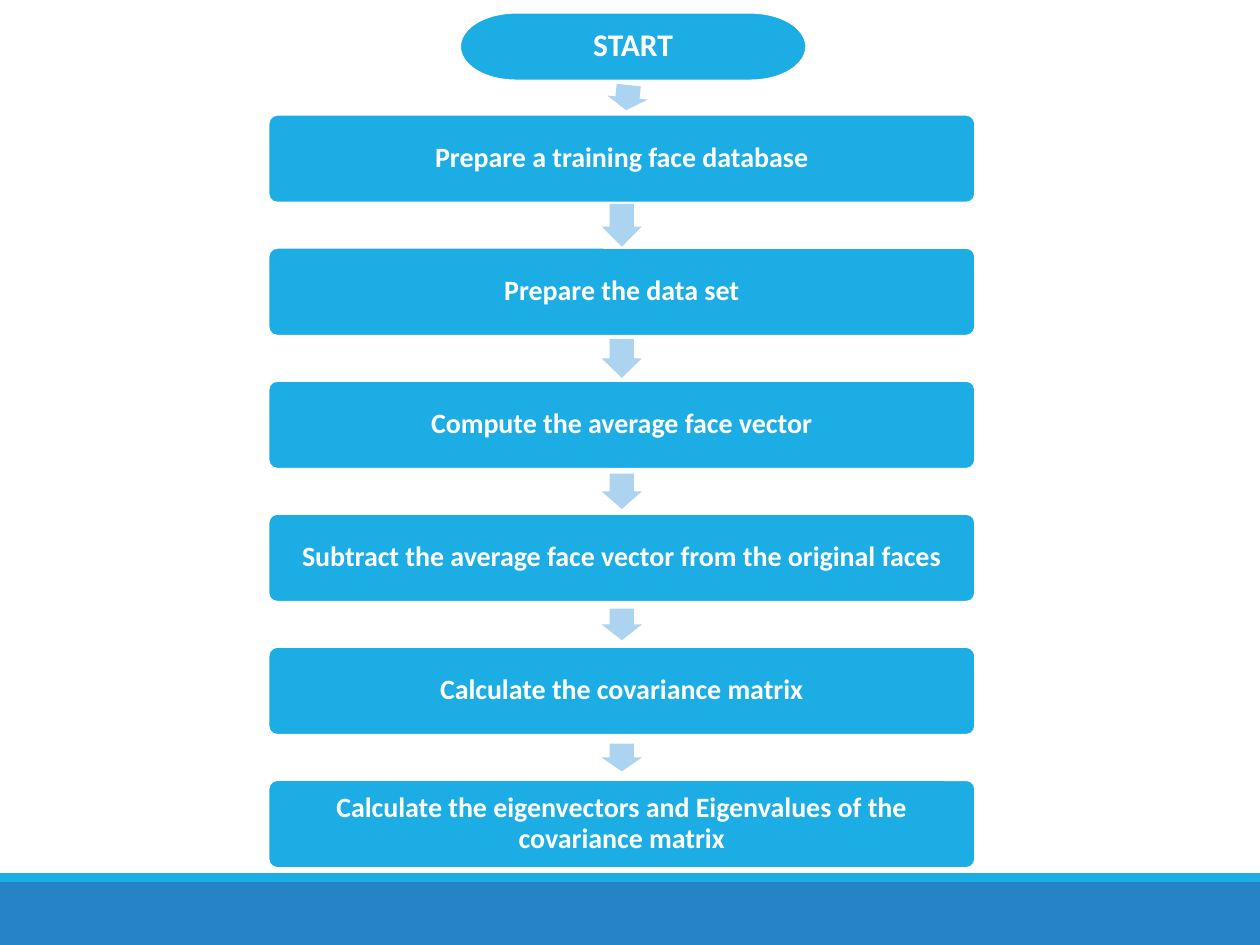
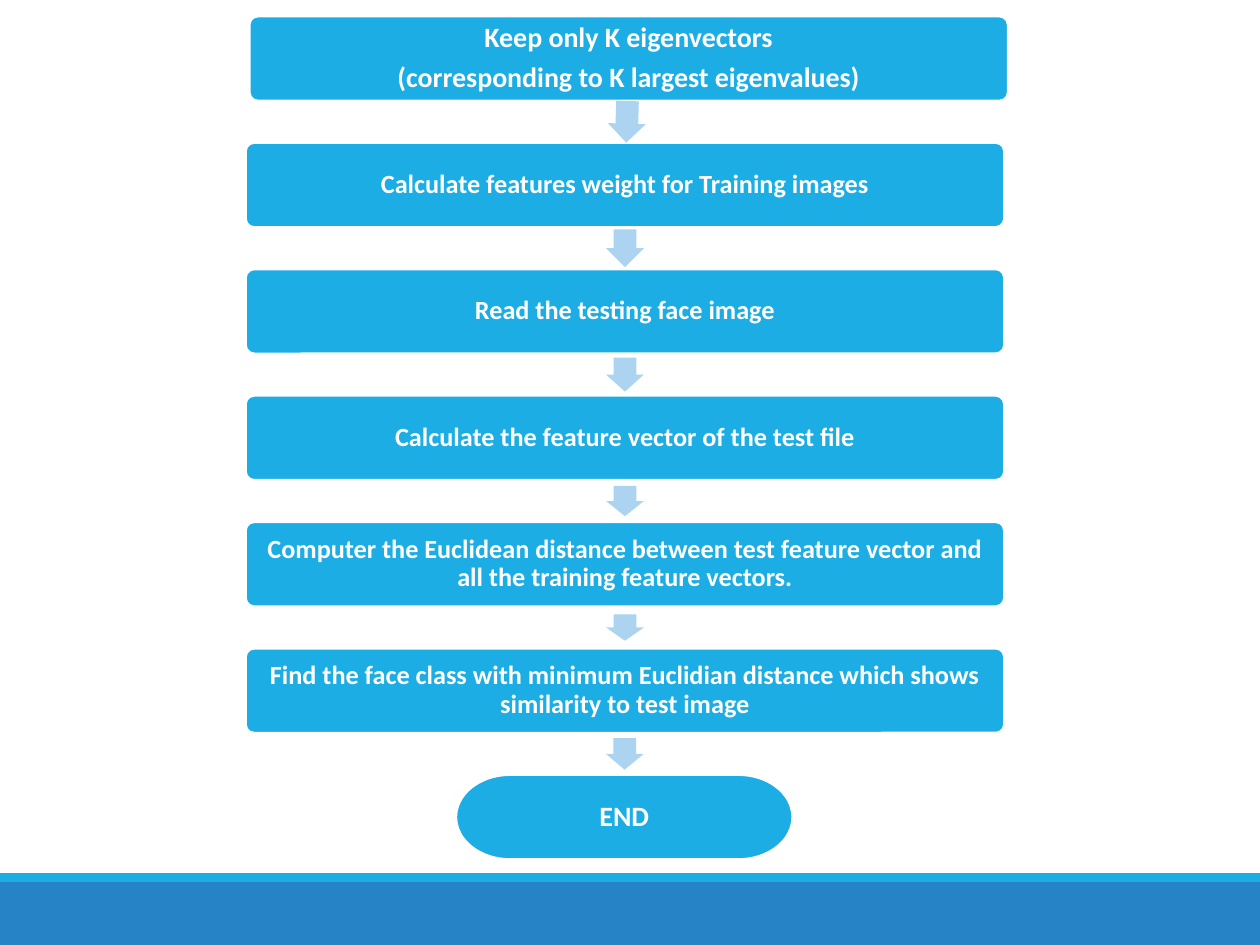
import math
from pptx import Presentation
from pptx import util as u
from pptx.dml.color import RGBColor
from pptx.enum import shapes, text

COLORS = {"band": "2683C6", "box": "1CADE4", "arrow": "ACD3EF", "white": "FFFFFF"}
FONT = "Calibri"
TERMINATOR = shapes.MSO_SHAPE.FLOWCHART_TERMINATOR
STEP = shapes.MSO_SHAPE.ROUNDED_RECTANGLE


def add_filled(page, kind, left, top, width, height, color):
    shape = page.shapes.add_shape(kind, *map(u.Inches, (left, top, width, height)))
    shape.shadow.inherit = False
    shape.fill.solid()
    shape.fill.fore_color.rgb = RGBColor.from_string(COLORS[color])
    shape.line.fill.background()
    return shape


def add_box(page, kind, left, top, width, height, size, label):
    box = add_filled(page, kind, left, top, width, height, "box")
    box.line.color.rgb = RGBColor.from_string(COLORS["white"])
    box.line.width = u.Pt(1.25)
    if kind == STEP:
        box.adjustments[0] = 0.1
    frame = box.text_frame
    frame.word_wrap = True
    frame.vertical_anchor = text.MSO_ANCHOR.MIDDLE
    margin = u.Inches(0.07 if size > 15 else 0.06)
    frame.margin_left = frame.margin_right = margin
    frame.margin_top = frame.margin_bottom = margin
    frame.text = label
    for para in frame.paragraphs:
        para.alignment = text.PP_ALIGN.CENTER
        para.line_spacing = 0.9
        para.font.name = FONT
        para.font.size = u.Pt(size)
        para.font.bold = True
        para.font.color.rgb = RGBColor.from_string(COLORS["white"])
    for para in frame.paragraphs[:-1]:
        para.space_after = u.Pt(0.35 * size)


deck = Presentation()
deck.slide_width, deck.slide_height = u.Inches(10), u.Inches(7.5)
blank = deck.slide_layouts[6]
pages = [deck.slides.add_slide(blank) for _ in range(2)]

# Footer bands, drawn once and moved to the slide master
bands = [(7, 0.5, "band"), (6.93, 0.07, "box")]
for number, (top, height, color) in enumerate(bands):
    band = add_filled(pages[0], shapes.MSO_SHAPE.RECTANGLE, 0, top, 10, height, color)
    band.element.nvSpPr.cNvPr.set("id", str(100 + number))
    deck.slide_master.shapes.element.insert(2 + number, band.element)

# Training: START, then evenly spaced steps
training_steps = [
    "Prepare a training face database",
    "Prepare the data set",
    "Compute the average face vector",
    "Subtract the average face vector from the original faces",
    "Calculate the covariance matrix",
    "Calculate the eigenvectors and Eigenvalues of the covariance matrix",
]
pitch = (6.19 - 0.91) / 5
training = [(TERMINATOR, 3.65, 0.1, 2.75, 0.54, 18, "START")]
for index, label in enumerate(training_steps):
    training.append((STEP, 2.13, 0.91 + index * pitch, 5.61, 0.7, 16, label))

# Testing: the first step sits slightly to the right, END closes the flow
testing_steps = [
    "Calculate features weight for Training images",
    "Read the testing face image",
    "Calculate the feature vector of the test file",
    "Computer the Euclidean distance between test feature vector and "
    "all the training feature vectors.",
    "Find the face class with minimum Euclidian distance which shows "
    "similarity to test image",
]
pitch = (6.15 - 0.13) / 6
testing = [(STEP, 1.98, 0.13, 6.02, 0.67, 16,
            "Keep only K eigenvectors\n(corresponding to K largest eigenvalues)")]
for index, label in enumerate(testing_steps, start=1):
    testing.append((STEP, 1.95, 0.13 + index * pitch, 6.02, 0.67, 15, label))
testing.append((TERMINATOR, 3.62, 6.15, 2.67, 0.67, 16, "END"))

# Arrow lengths and thickness for each flow
flows = [
    (training, [0.2, 0.34, 0.31, 0.28, 0.25, 0.22], 0.32),
    (testing, [0.33, 0.3, 0.27, 0.24, 0.21, 0.25], 0.3),
]

for page, (boxes, lengths, thickness) in zip(pages, flows):
    for box in boxes:
        add_box(page, *box)

    # Each arrow lies mid-gap and points from one box centre to the next
    for upper, lower, length in zip(boxes, boxes[1:], lengths):
        (x1, y1, w1, h1), (x2, y2, w2, h2) = upper[1:5], lower[1:5]
        run = x2 + w2 / 2 - x1 - w1 / 2
        drop = y2 + h2 / 2 - y1 - h1 / 2
        center_x = x1 + w1 / 2 + run / 2
        center_y = (y1 + h1 + y2) / 2
        arrow = add_filled(page, shapes.MSO_SHAPE.RIGHT_ARROW, center_x - length / 2,
                           center_y - thickness / 2, length, thickness, "arrow")
        arrow.adjustments[0], arrow.adjustments[1] = 0.6, 0.5
        arrow.rotation = math.degrees(math.atan2(drop, run))

deck.save("out.pptx")
